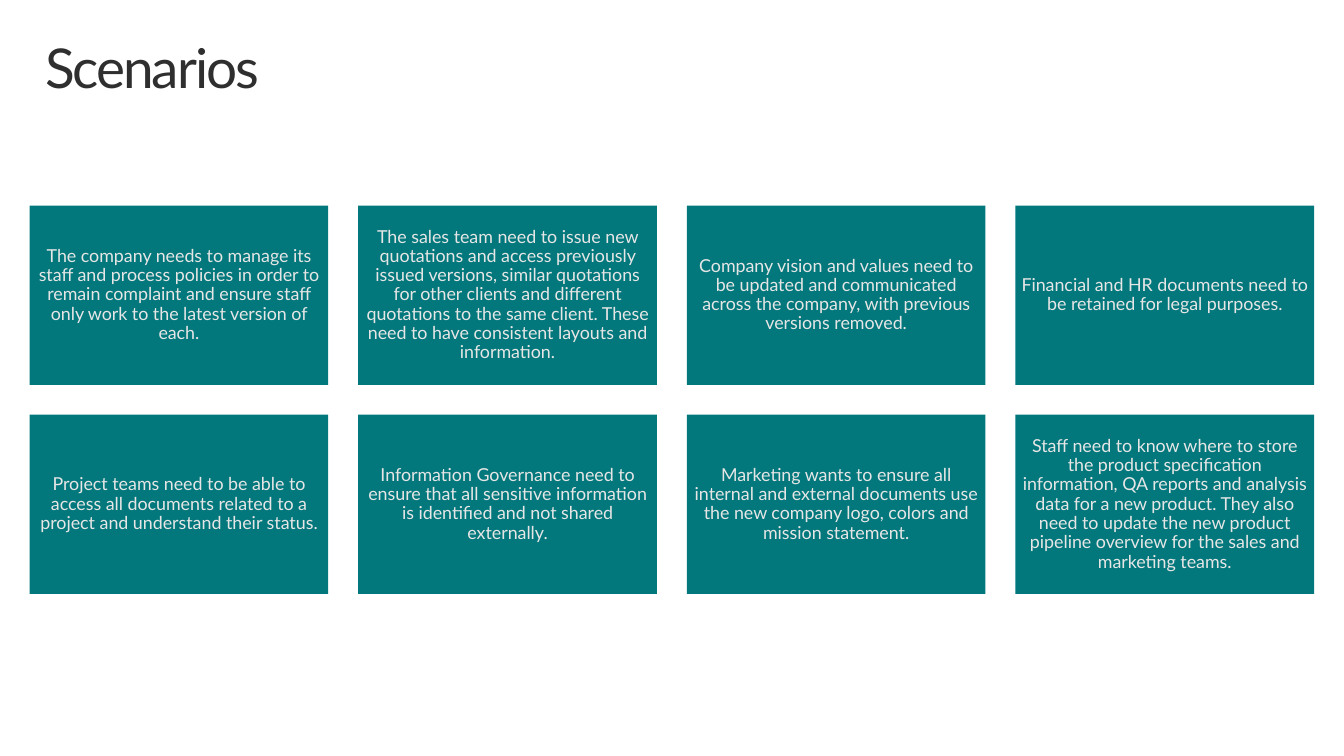
from pptx import Presentation
from pptx import util as u
from pptx.dml import color
from pptx.enum import shapes, text

TEAL = color.RGBColor(0x03, 0x78, 0x7C)
DARK = color.RGBColor(0x2F, 0x2F, 0x2F)
LIGHT = color.RGBColor(0xE6, 0xE6, 0xE6)

LEFT, TOP = 21.6, 149.8
CARD_W, CARD_H = 217.6, 130.56
GAP = 21.8
COLUMNS = 4

SCENARIOS = [
    "The company needs to manage its staff and process policies in order to "
    "remain complaint and ensure staff only work to the latest version of each.",
    "The sales team need to issue new quotations and access previously issued "
    "versions, similar quotations for other clients and different quotations to "
    "the same client. These need to have consistent layouts and information.",
    "Company vision and values need to be updated and communicated across the "
    "company, with previous versions removed.",
    "Financial and HR documents need to be retained for legal purposes.",
    "Project teams need to be able to access all documents related to a project "
    "and understand their status.",
    "Information Governance need to ensure that all sensitive information is "
    "identified and not shared externally.",
    "Marketing wants to ensure all internal and external documents use the new "
    "company logo, colors and mission statement.",
    "Staff need to know where to store the product specification information, "
    "QA reports and analysis data for a new product. They also need to update "
    "the new product pipeline overview for the sales and marketing teams.",
]


class Deck:
    font = "Lato"

    def __init__(self, width, height):
        self.prs = Presentation()
        self.prs.slide_width = u.Pt(width)
        self.prs.slide_height = u.Pt(height)
        self.s = self.prs.slides.add_slide(self.prs.slide_layouts[6])

    def apply(self, target, formats):
        for name, value in formats.items():
            setattr(target, name, value)

    def add_words(self, sp, words, size, rgb, align, anchor, inset_x, inset_y):
        tf = sp.text_frame
        self.apply(tf, {
            "word_wrap": True, "vertical_anchor": anchor,
            "margin_left": u.Pt(inset_x), "margin_right": u.Pt(inset_x),
            "margin_top": u.Pt(inset_y), "margin_bottom": u.Pt(inset_y),
        })
        p = tf.paragraphs[0]
        self.apply(p, {"alignment": align, "line_spacing": 0.9})
        r = p.add_run()
        r.text = words
        self.apply(r.font, {"name": self.font, "size": u.Pt(size)})
        r.font.color.rgb = rgb
        return r

    def title(self, words, *box):
        sp = self.s.shapes.add_textbox(*map(u.Pt, box))
        r = self.add_words(sp, words, 40, DARK, text.PP_ALIGN.LEFT,
                           text.MSO_ANCHOR.TOP, 11.5, 7.2)
        r._r.get_or_add_rPr().set("spc", "-150")

    def card(self, words, *box):
        sp = self.s.shapes.add_shape(shapes.MSO_SHAPE.RECTANGLE, *map(u.Pt, box))
        sp.shadow.inherit = False
        sp.fill.solid()
        sp.fill.fore_color.rgb = TEAL
        sp.line.fill.background()
        self.add_words(sp, words, 13, LIGHT, text.PP_ALIGN.CENTER,
                       text.MSO_ANCHOR.MIDDLE, 3.6, 3.6)


def main():
    deck = Deck(979.2, 550.8)
    deck.title("Scenarios", LEFT, 23, 936, 72)
    for i, words in enumerate(SCENARIOS):
        row, col = divmod(i, COLUMNS)
        deck.card(words, LEFT + col * (CARD_W + GAP), TOP + row * (CARD_H + GAP),
                  CARD_W, CARD_H)
    deck.prs.save("out.pptx")


if __name__ == "__main__":
    main()
